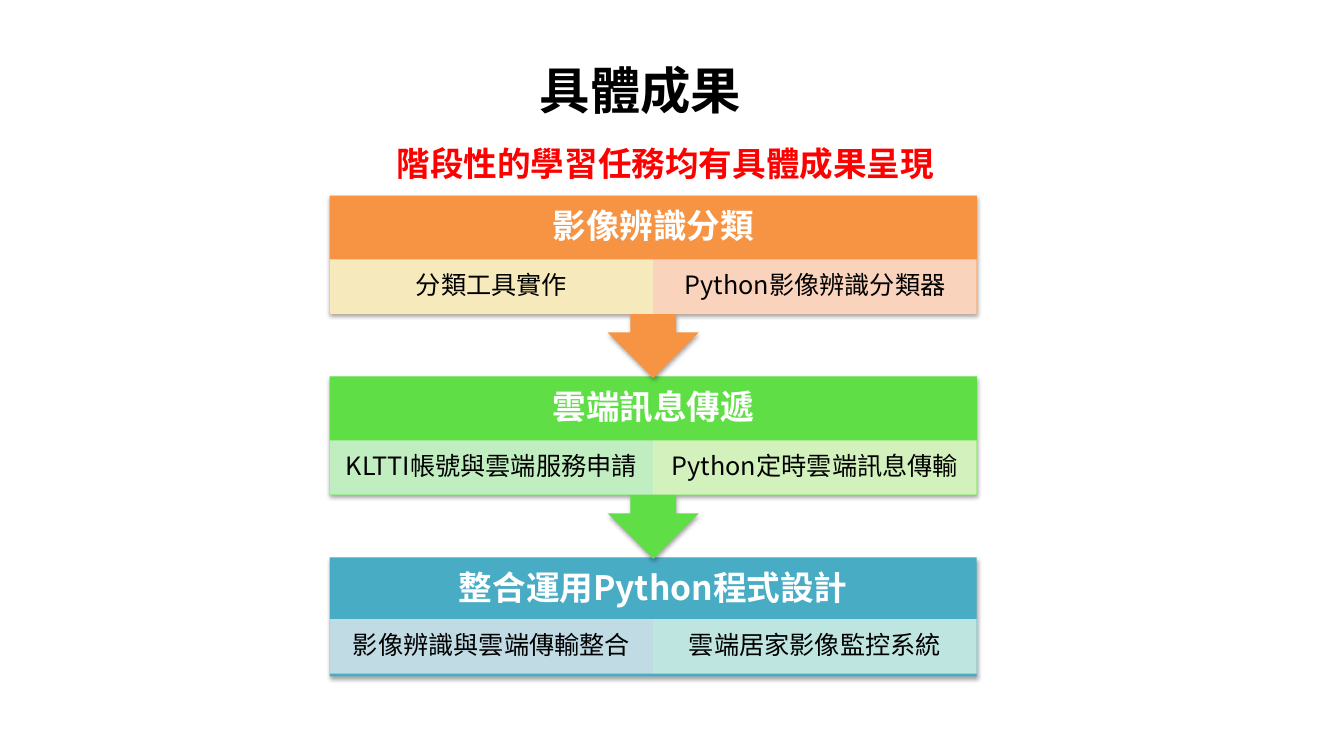
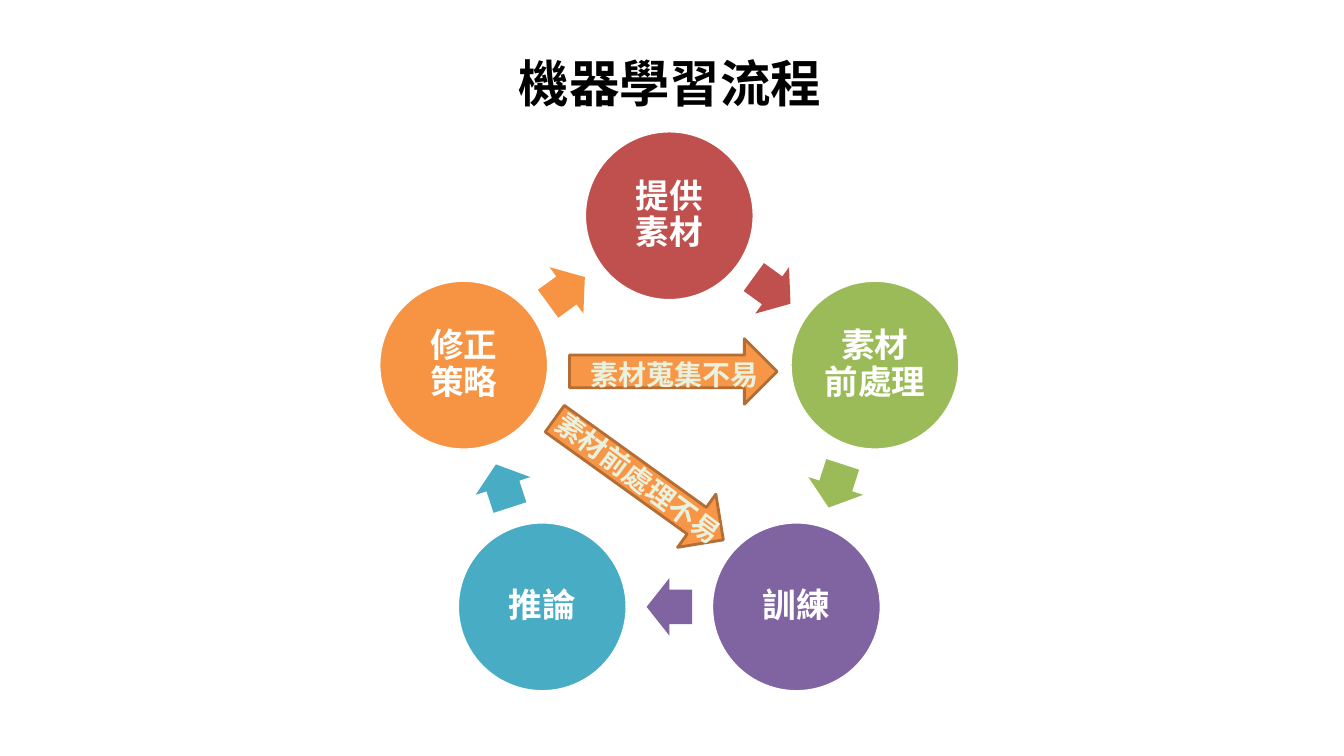
"""Builds two slides: staged learning results and a machine learning cycle."""
import math
from dataclasses import dataclass

import pptx
import pptx.dml.color
import pptx.enum.shapes
import pptx.enum.text
import pptx.oxml
import pptx.oxml.ns
import pptx.util
from lxml import etree

SHAPE = pptx.enum.shapes.MSO_SHAPE
ALIGN = pptx.enum.text.PP_ALIGN
ANCHOR = pptx.enum.text.MSO_ANCHOR
qn = pptx.oxml.ns.qn


@dataclass(frozen=True)
class Theme:
    """Grid, font, type sizes and colours shared by the slides."""
    columns: float = 133.33
    rows: float = 75
    cell: int = pptx.util.Inches(0.1)
    font: str = "Noto Sans CJK TC"
    title_size: int = 36
    heading_size: int = 24
    label_size: int = 20
    body_size: int = 18
    black: str = "000000"
    white: str = "FFFFFF"
    red: str = "FF0000"
    orange: str = "F69444"
    amber: str = "F79646"
    brown: str = "B46D33"
    green: str = "5FDF45"
    teal: str = "49ACC5"
    brick: str = "BF504D"
    olive: str = "9BBB59"
    purple: str = "8064A2"
    cream: str = "EAF1DD"


THEME = Theme()
SHADOW = (
    f'<a:effectLst {pptx.oxml.ns.nsdecls("a")}>'
    '<a:outerShdw blurRad="39370" dist="22860" dir="5400000" rotWithShape="0">'
    '<a:srgbClr val="000000"><a:alpha val="35000"/></a:srgbClr>'
    '</a:outerShdw></a:effectLst>'
)


@dataclass(frozen=True)
class Style:
    """Look of one paragraph and of the frame around it."""
    size: int
    color: str
    bold: bool = True
    align: ALIGN = ALIGN.CENTER
    anchor: ANCHOR = ANCHOR.MIDDLE
    spacing: float = 1.0
    insets: tuple = (1, 0.5)


HEADING = Style(THEME.heading_size, THEME.white, spacing=0.9, insets=(1.9, 1.9))
DETAIL = Style(THEME.body_size, THEME.black, bold=False, spacing=0.9, insets=(1.4, 0.2))
NODE = Style(THEME.heading_size, THEME.white, spacing=0.9, insets=(0.3, 0.3))
LABEL = Style(THEME.label_size, THEME.cream, align=ALIGN.LEFT, anchor=ANCHOR.TOP)
SUBTITLE = Style(THEME.heading_size, THEME.red, anchor=ANCHOR.TOP, spacing=1.5)

STAGES = (
    ("影像辨識分類", THEME.orange,
     (("分類工具實作", "F7F4CB"), ("Python影像辨識分類器", "FBDACB"))),
    ("雲端訊息傳遞", THEME.green,
     (("KLTTI帳號與雲端服務申請", "CCF0CE"), ("Python定時雲端訊息傳輸", "E0F4CB"))),
    ("整合運用Python程式設計", THEME.teal,
     (("影像辨識與雲端傳輸整合", "CDE1E8"), ("雲端居家影像監控系統", "CCECE3"))),
)
STEPS = (
    ("提供\n素材", THEME.brick),
    ("素材\n前處理", THEME.olive),
    ("訓練", THEME.purple),
    ("推論", THEME.teal),
    ("修正\n策略", THEME.orange),
)


def grid(*cells):
    """Turn grid columns and rows into slide lengths."""
    return [round(count * THEME.cell) for count in cells]


def rgb(code):
    """Return the colour of a hex code."""
    return pptx.dml.color.RGBColor.from_string(code)


def write(box, text, style):
    """Write one styled paragraph into a shape."""
    frame = box.text_frame
    frame.word_wrap = True
    frame.auto_size = pptx.enum.text.MSO_AUTO_SIZE.NONE
    frame.vertical_anchor = style.anchor
    side, edge = grid(*style.insets)
    frame.margin_left = frame.margin_right = side
    frame.margin_top = frame.margin_bottom = edge
    para = frame.paragraphs[0]
    para.text = text
    para.alignment = style.align
    para.line_spacing = style.spacing
    para.font.name = THEME.font
    para.font.size = pptx.util.Pt(style.size)
    para.font.bold = style.bold
    para.font.color.rgb = rgb(style.color)
    defaults = para._p.get_or_add_pPr().find(qn("a:defRPr"))
    etree.SubElement(defaults, qn("a:ea")).set("typeface", THEME.font)


def add_titled_page(deck, text, area, anchor):
    """Add a title-only slide and place its title."""
    page = deck.slides.add_slide(deck.slide_layouts[5])
    title = page.shapes.title
    title.left, title.top, title.width, title.height = grid(*area)
    write(title, text, Style(THEME.title_size, THEME.black, anchor=anchor))
    return page


def add_text(page, area, text, style, turn=0):
    """Add a text box."""
    box = page.shapes.add_textbox(*grid(*area))
    box.rotation = turn
    write(box, text, style)


def add_block(page, kind, area, color, turn=0, outline=None, adjust=()):
    """Add a flat filled shape with an optional outline."""
    block = page.shapes.add_shape(kind, *grid(*area))
    block.shadow.inherit = False
    block.rotation = turn
    block.fill.solid()
    block.fill.fore_color.rgb = rgb(color)
    if outline:
        block.line.color.rgb = rgb(outline)
        block.line.width = pptx.util.Pt(2)
    else:
        block.line.fill.background()
    for index, value in enumerate(adjust):
        block.adjustments[index] = value
    return block


def cast_shadow(block):
    """Give a block a soft shadow below it."""
    properties = block._element.spPr
    properties.replace(properties.find(qn("a:effectLst")), pptx.oxml.parse_xml(SHADOW))


def set_opacity(block, percent):
    """Set the opacity of a block's fill."""
    color = block._element.spPr.find(qn("a:solidFill")).find(qn("a:srgbClr"))
    etree.SubElement(color, qn("a:alpha")).set("val", str(percent * 1000))


def add_stage(page, top, stage, is_last):
    """Add a heading band with its details and an arrow to the next stage."""
    heading, color, details = stage
    left, width = 32.7, 64.2
    height, band_share = (11.8, 0.52) if is_last else (18.1, 0.35)
    area = (left, top, width, height)
    if is_last:
        band = add_block(page, SHAPE.RECTANGLE, area, color)
    else:
        band = add_block(page, SHAPE.UP_ARROW_CALLOUT, area, color, 180,
                         adjust=(0.25, 0.25, 0.25, 0.65))
    cast_shadow(band)
    add_text(page, (left, top, width, 6.4), heading, HEADING)
    share = width / len(details)
    for column, (text, tint) in enumerate(details):
        area = (left + column * share, top + height * band_share, share, 5.4)
        detail = add_block(page, SHAPE.RECTANGLE, area, tint)
        set_opacity(detail, 90)
        write(detail, text, DETAIL)


def around(center, radius, degrees, width, height):
    """Return an area centred on a circle, clockwise from its top."""
    angle = math.radians(degrees)
    x = center[0] + radius * math.sin(angle)
    y = center[1] - radius * math.cos(angle)
    return x - width / 2, y - height / 2, width, height


def add_cycle(page, center, radius, steps):
    """Add a ring of circles with an arrow after each."""
    sweep = 360 / len(steps)
    arrow_radius = radius * math.cos(math.radians(sweep / 2))
    for index, (text, color) in enumerate(steps):
        start = index * sweep
        area = around(center, radius, start, 16.8, 16.8)
        write(add_block(page, SHAPE.OVAL, area, color, outline=THEME.white), text, NODE)
        turn = start + sweep / 2
        area = around(center, arrow_radius, turn, 4.5, 5.7)
        add_block(page, SHAPE.RIGHT_ARROW, area, color, turn, adjust=(0.6, 0.5))


def add_shortcut(page, corner, turn, text, text_area, text_turn):
    """Add an outlined arrow with a label on it."""
    add_block(page, SHAPE.RIGHT_ARROW, (*corner, 20.6, 6.5), THEME.amber, turn, THEME.brown)
    add_text(page, text_area, text, LABEL, text_turn)


def build_results(deck):
    """Build the slide of staged results."""
    page = add_titled_page(deck, "具體成果", (46.8, 5.4, 33.5, 8.5), ANCHOR.TOP)
    add_text(page, (11.6, 11.7, 108.8, 7.7), "階段性的學習任務均有具體成果呈現", SUBTITLE)
    last = len(STAGES) - 1
    for index in range(last, -1, -1):
        add_stage(page, 19.4 + 17.95 * index, STAGES[index], index == last)


def build_process(deck):
    """Build the slide of the machine learning cycle."""
    page = add_titled_page(deck, "機器學習流程", (12.2, 3.4, 108.5, 9.6), ANCHOR.MIDDLE)
    add_cycle(page, (66.4, 42.85), 21.45, STEPS)
    add_shortcut(page, (56.5, 33.6), 0, "素材蒐集不易", (57.6, 35, 18.8, 4.4), 0)
    add_shortcut(page, (53.1, 44.3), 35.7, "素材前處理不易", (52.6, 45.3, 21.7, 4.4), 36.6)


def main():
    """Build and save the deck."""
    deck = pptx.Presentation()
    deck.slide_width, deck.slide_height = grid(THEME.columns, THEME.rows)
    build_results(deck)
    build_process(deck)
    deck.save("out.pptx")


if __name__ == "__main__":
    main()
